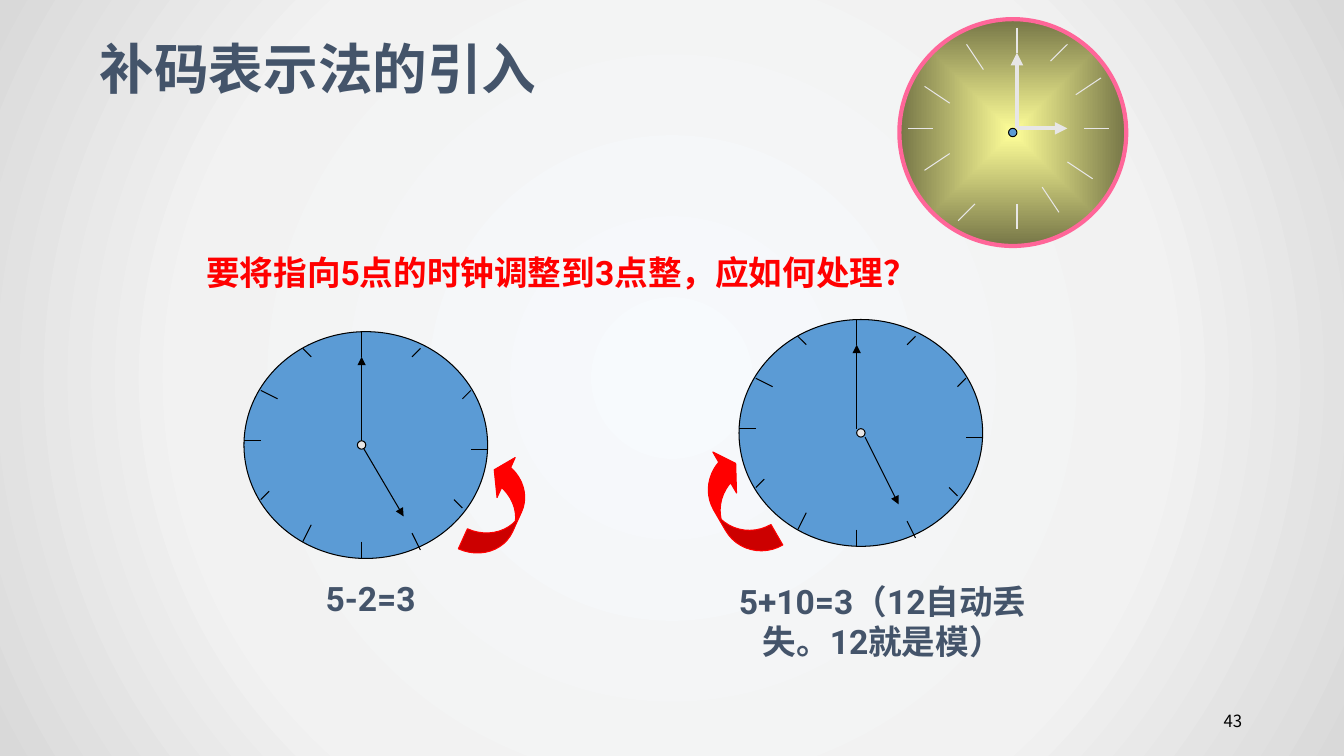
from pptx import Presentation
from pptx.dml.color import RGBColor
from pptx.enum.shapes import MSO_CONNECTOR, MSO_SHAPE
from pptx.enum.text import MSO_ANCHOR, PP_ALIGN
from pptx.oxml import parse_xml
from pptx.oxml.ns import nsdecls, qn
from pptx.oxml.xmlchemy import OxmlElement
from pptx.util import Inches, Pt

BLACK = RGBColor(0x00, 0x00, 0x00)
BLUE = RGBColor(0x5B, 0x9B, 0xD5)
GREY = RGBColor(0xE7, 0xE6, 0xE6)
RED = RGBColor(0xFF, 0x00, 0x00)
SLATE = RGBColor(0x44, 0x54, 0x6A)
PINK = RGBColor(0xFF, 0x66, 0x99)
CELL = Inches(1) / 12  # clocks sit on a grid of twelfths of an inch
HAN_FONT = "Noto Sans CJK SC"


def set_gradient(fill, holder, kind, stops):
    """Fill from the centre outwards with (percent, hex) stops."""
    fill.gradient()
    marks = "".join(f'<a:gs pos="{percent * 1000}"><a:srgbClr val="{colour}"/></a:gs>'
                    for percent, colour in stops)
    old = holder.find(".//" + qn("a:gradFill"))
    old.getparent().replace(old, parse_xml(
        f'<a:gradFill {nsdecls("a")} rotWithShape="1"><a:gsLst>{marks}</a:gsLst>'
        f'<a:path path="{kind}"><a:fillToRect l="50000" t="50000" r="50000" b="50000"/>'
        '</a:path></a:gradFill>'))


def add_filled(shapes, preset, left, top, width, height, fill, line, weight=0.75):
    shape = shapes.add_shape(preset, *(round(v) for v in (left, top, width, height)))
    shape.shadow.inherit = False
    shape.fill.solid()
    shape.fill.fore_color.rgb = fill
    shape.line.color.rgb = line
    shape.line.width = Pt(weight)
    return shape


deck = Presentation()
deck.slide_width, deck.slide_height = Inches(13.33), Inches(7.5)
page = deck.slides.add_slide(deck.slide_layouts[6])
set_gradient(page.background.fill, page._element, "circle",
             [(0, "F7FAFD"), (63, "F2F2F2"), (100, "D9D9D9")])

# Clocks: ticks and hands as (column, row) pairs from the face's corner
BLUE_TICKS = [(14, 0, 14, 3), (14, 25, 14, 27), (0, 13, 2, 13), (29, 14, 27, 14),
              (21, 2, 20, 3), (27, 7, 26, 8), (7, 2, 8, 3), (2, 7, 4, 8),
              (2, 20, 3, 19), (7, 25, 8, 23), (25, 20, 26, 21), (20, 24, 21, 26)]
GOLD_TICKS = [(14, 1, 14, 4), (14, 22, 14, 25), (1, 13, 4, 13), (22, 13, 25, 13),
              (8, 3, 10, 6), (17, 20, 19, 23), (3, 8, 6, 10), (20, 17, 23, 19),
              (20, 3, 18, 5), (9, 22, 7, 24), (3, 18, 6, 16), (21, 9, 24, 7)]
MINUTE_HAND = (14, 13, 14, 3)
# left, top, columns, ticks, hands, hub column, hub fill, line, hand weight, rim, rim weight
CLOCKS = [
    (7.33, 3.17, 29, BLUE_TICKS, [MINUTE_HAND, (15, 14, 19, 22)], 14, GREY, BLACK, 0.75, BLACK, 0.75),
    (8.92, 0.19, 27, GOLD_TICKS, [(14, 13, 20, 13), (14, 13, 14, 4)], 13, BLUE, GREY, 3, PINK, 3),
    (2.42, 3.29, 29, BLUE_TICKS, [MINUTE_HAND, (14, 13.5, 19, 22)], 13.5, GREY, BLACK, 0.75, BLACK, 0.75),
]
for (left, top, columns, ticks, hands, hub_column, hub_fill,
     line_colour, hand_weight, rim, rim_weight) in CLOCKS:
    clock = page.shapes.add_group_shape()
    x, y = Inches(left), Inches(top)
    face = add_filled(clock.shapes, MSO_SHAPE.OVAL, x, y, columns * CELL, 27 * CELL,
                      BLUE, rim, rim_weight)
    if ticks is GOLD_TICKS:
        set_gradient(face.fill, face._element, "shape", [(0, "FFFF99"), (100, "767647")])
    for stroke in ticks + hands:
        x1, y1, x2, y2 = (round(v * CELL) for v in stroke)
        line = clock.shapes.add_connector(MSO_CONNECTOR.STRAIGHT, x + x1, y + y1, x + x2, y + y2)
        line.line.color.rgb = line_colour
        line.line.width = Pt(hand_weight if stroke in hands else 0.75)
        if stroke in hands:
            arrowhead = OxmlElement("a:tailEnd")
            arrowhead.set("type", "triangle")
            line.line._get_or_add_ln().append(arrowhead)
        line._element.spPr.append(OxmlElement("a:effectLst"))
    add_filled(clock.shapes, MSO_SHAPE.OVAL, x + hub_column * CELL, y + 13 * CELL,
               CELL, CELL, hub_fill, BLACK)

# Curved arrows showing which way each clock is turned
for left, top, height, turn, bend, mirrored in [(4.75, 4.5, 1.08, 204.4, 0.52, True),
                                                (7.08, 4.42, 1.17, 150, 0.56, False)]:
    arrow = add_filled(page.shapes, MSO_SHAPE.CURVED_LEFT_ARROW, Inches(left), Inches(top),
                       Inches(0.42), Inches(height), RED, RED)
    arrow.rotation = turn
    for index, value in enumerate((bend, 2 * bend, 0.333)):
        arrow.adjustments[index] = value
    if mirrored:
        arrow._element.spPr.xfrm.set("flipH", "1")

# Title, question, answers and page number
TEXTS = [
    ("补码表示法的引入", 0.89, 0.27, 6.61, 0.78, 39, "Lato", SLATE, PP_ALIGN.LEFT, MSO_ANCHOR.BOTTOM),
    ("要将指向5点的时钟调整到3点整，应如何处理？", 1.82, 2.45, 7.5, 0.5, 24, "Roboto", RED,
     PP_ALIGN.CENTER, MSO_ANCHOR.TOP),
    ("5-2=3", 2.75, 5.68, 1.85, 0.5, 24, "Roboto", SLATE, PP_ALIGN.CENTER, MSO_ANCHOR.TOP),
    ("5+10=3（12自动丢失。12就是模）", 7.17, 5.71, 3.17, 0.91, 24, "Roboto", SLATE,
     PP_ALIGN.CENTER, MSO_ANCHOR.TOP),
    ("43", 9.42, 6.95, 3, 0.4, 12, HAN_FONT, BLACK, PP_ALIGN.RIGHT, MSO_ANCHOR.MIDDLE),
]
for text, left, top, width, height, size, font, colour, align, anchor in TEXTS:
    box = page.shapes.add_textbox(Inches(left), Inches(top), Inches(width), Inches(height))
    frame = box.text_frame
    frame.word_wrap = True
    frame.vertical_anchor = anchor
    frame.text = text
    para = frame.paragraphs[0]
    para.alignment = align
    span = para.runs[0]
    span.font.size = Pt(size)
    span.font.bold = size > 12
    span.font.name = font
    span.font.color.rgb = colour
    han = OxmlElement("a:ea")
    han.set("typeface", HAN_FONT)
    span.font._element.append(han)

deck.save("out.pptx")
